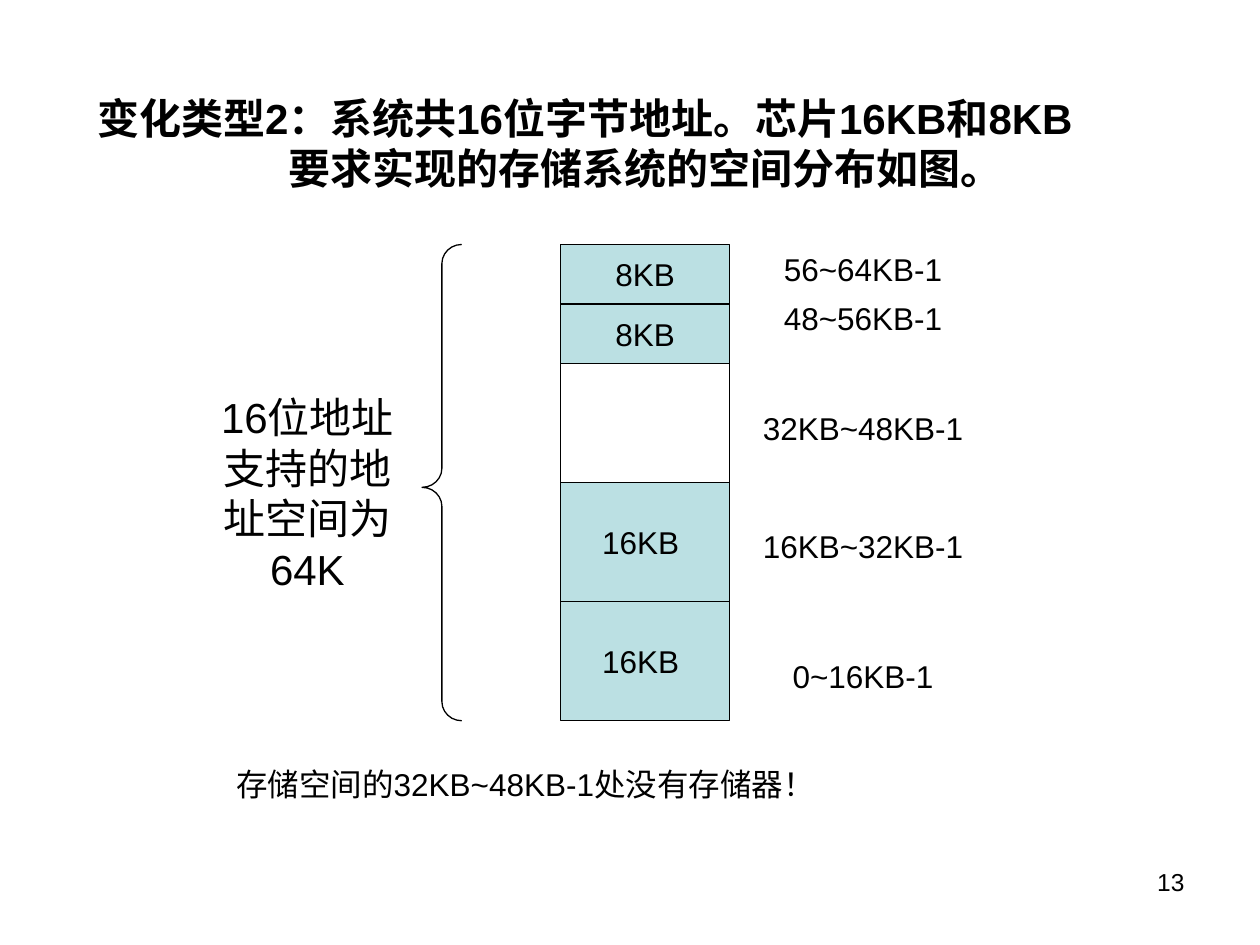
"""Build the slide on the memory map of a 16-bit address space."""
from pptx import Presentation
from pptx import util as u
from pptx.dml.color import RGBColor
from pptx.enum import shapes, text

BLACK = RGBColor(0x00, 0x00, 0x00)
TEAL = RGBColor(0xBB, 0xE0, 0xE3)

deck = Presentation()
deck.slide_width, deck.slide_height = u.Inches(10), u.Inches(7.5)
COL, ROW = deck.slide_width / 100, deck.slide_height / 100
slide = deck.slides.add_slide(deck.slide_layouts[5])


def area(left, top, width, height):
    return [u.Emu(round(n)) for n in (left * COL, top * ROW, width * COL, height * ROW)]


def write(holder, words, size=18, bold=False, wrap=False,
          align=text.PP_ALIGN.CENTER, anchor=text.MSO_ANCHOR.MIDDLE):
    frame = holder.text_frame
    frame.auto_size = text.MSO_AUTO_SIZE.NONE
    frame.word_wrap = wrap
    frame.vertical_anchor = anchor
    frame.text = words
    for line in frame.paragraphs:
        line.alignment = align
        line.font.name = "Arial"
        line.font.size = u.Pt(size)
        line.font.bold = bold
        line.font.color.rgb = BLACK


MAP_TOP, MAP_HEIGHT, MAP_WIDTH = 25.87, 50.4, 13.4
KB = MAP_HEIGHT / 64
LABEL_HEIGHT = 5.2

heading = slide.shapes.title
heading.left, heading.top, heading.width, heading.height = area(6.7, 9.07, 81.1, 17.33)
write(heading, "变化类型2：系统共16位字节地址。芯片16KB和8KB\n要求实现的存储系统的空间分布如图。",
      size=24, bold=True, wrap=True, align=text.PP_ALIGN.LEFT, anchor=text.MSO_ANCHOR.TOP)
second_line = heading.text_frame.paragraphs[1]
second_line._p.get_or_add_pPr().set("marL", str(round(15.2 * COL)))

address_space = slide.shapes.add_textbox(*area(17.7, 26.93, MAP_WIDTH, MAP_HEIGHT))
write(address_space, "16位地址\n支持的地\n址空间为\n64K", size=24)

brace = slide.shapes.add_shape(
    shapes.MSO_SHAPE.LEFT_BRACE, *area(33.5, MAP_TOP, 3.15, MAP_HEIGHT))
brace.adjustments[0], brace.adjustments[1] = 0.48, 0.51
brace.shadow.inherit = False
brace.fill.background()
brace.line.color.rgb = BLACK
brace.line.width = u.Pt(0.75)

regions = [
    (8, "8KB", "56~64KB-1", 25.87),
    (8, "8KB", "48~56KB-1", 31.07),
    (16, "", "32KB~48KB-1", 42.67),
    (16, "16KB ", "16KB~32KB-1", 55.2),
    (16, "16KB ", "0~16KB-1", 68.93),
]
region_top = MAP_TOP
for capacity, chip, span, span_top in regions:
    region = slide.shapes.add_shape(
        shapes.MSO_SHAPE.RECTANGLE, *area(44.5, region_top, MAP_WIDTH, capacity * KB))
    region.shadow.inherit = False
    region.line.color.rgb = BLACK
    region.line.width = u.Pt(0.75)
    if chip:
        region.fill.solid()
        region.fill.fore_color.rgb = TEAL
        write(region, chip)
    else:
        region.fill.background()
    region_top += capacity * KB

    addresses = slide.shapes.add_textbox(*area(61.8, span_top, MAP_WIDTH, LABEL_HEIGHT))
    write(addresses, span)

gap_remark = slide.shapes.add_textbox(*area(16.9, 80.4, 49.6, LABEL_HEIGHT))
write(gap_remark, "存储空间的32KB~48KB-1处没有存储器！")

page_number = slide.shapes.add_textbox(*area(71.7, 91.07, 23.3, 6.93))
write(page_number, "13", size=14, wrap=True,
      align=text.PP_ALIGN.RIGHT, anchor=text.MSO_ANCHOR.TOP)

deck.save("out.pptx")
